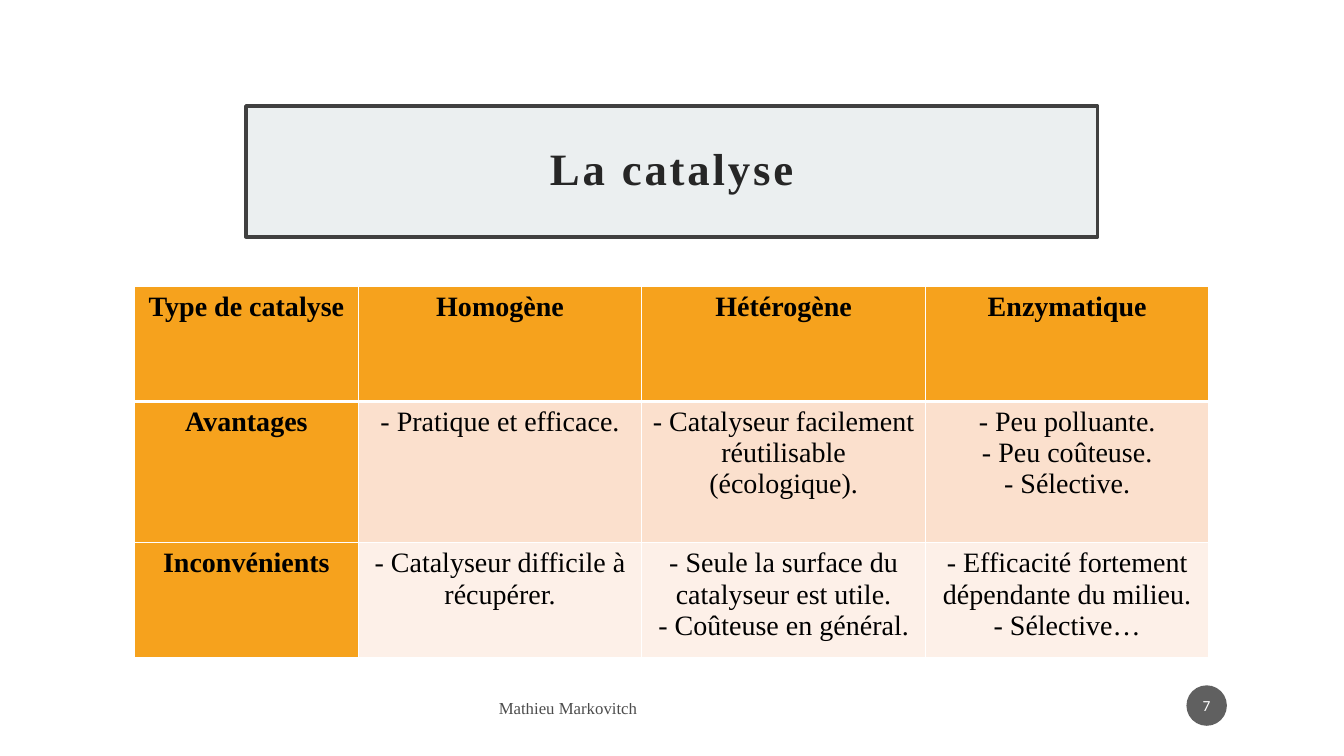
from lxml import etree
from pptx import Presentation
from pptx import util as u
from pptx.dml import color
from pptx.enum import shapes, text
from pptx.oxml import ns

SERIF = "Times New Roman"
ORANGE = "F6A21D"
BODY_FILLS = ["FBE0CD", "FDF0E8"]
HEADERS = ["Type de catalyse", "Homogène", "Hétérogène", "Enzymatique"]
ROWS = [
    ["Avantages", "- Pratique et efficace.",
     "- Catalyseur facilement réutilisable (écologique).",
     "- Peu polluante.\n- Peu coûteuse.\n- Sélective."],
    ["Inconvénients", "- Catalyseur difficile à récupérer.",
     "- Seule la surface du catalyseur est utile.\n- Coûteuse en général.",
     "- Efficacité fortement dépendante du milieu.\n- Sélective…"],
]


def paint(fill, hex_code, opacity=100):
    """Apply a solid colour with an opacity in percent."""
    fill.solid()
    fill.fore_color.rgb = color.RGBColor.from_string(hex_code)
    if opacity < 100:
        tint = fill._xPr.find(".//" + ns.qn("a:srgbClr"))
        etree.SubElement(tint, ns.qn("a:alpha"), val=str(opacity * 1000))


def write(frame, content, size, ink, font=SERIF, bold=False, opacity=100,
          align=text.PP_ALIGN.CENTER):
    """Write each line of the content as a paragraph of one run."""
    frame.word_wrap = True
    for index, line in enumerate(content.split("\n")):
        para = frame.add_paragraph() if index else frame.paragraphs[0]
        para.alignment = align
        span = para.add_run()
        span.text = line
        span.font.name = font
        span.font.size = u.Pt(size)
        span.font.bold = bold
        paint(span.font.fill, ink, opacity)


def set_margins(frame, side, end):
    """Set the side and top or bottom margins of a text frame."""
    frame.margin_left = frame.margin_right = u.Cm(side)
    frame.margin_top = frame.margin_bottom = u.Cm(end)
    frame.vertical_anchor = text.MSO_ANCHOR.MIDDLE


def add_title(page, left, top, width, height):
    """Draw the framed slide title."""
    box = page.shapes.add_shape(shapes.MSO_SHAPE.RECTANGLE, u.Cm(left),
                                u.Cm(top), u.Cm(width), u.Cm(height))
    box.shadow.inherit = False
    paint(box.fill, "EBEFF0")
    paint(box.line.fill, "404040")
    box.line.width = u.Pt(2.5)
    set_margins(box.text_frame, 0.5, 0.5)
    write(box.text_frame, "La catalyse", 32, "262626", bold=True)
    para = box.text_frame.paragraphs[0]
    para.line_spacing = 0.9
    para.runs[0]._r.get_or_add_rPr().set("spc", "200")


def add_border(cell, side, points):
    """Draw a white line on one side of a table cell."""
    line = etree.SubElement(cell._tc.get_or_add_tcPr(), ns.qn("a:ln" + side),
                            w=str(u.Pt(points)))
    fill = etree.SubElement(line, ns.qn("a:solidFill"))
    etree.SubElement(fill, ns.qn("a:srgbClr"), val="FFFFFF")


def add_comparison(page, left, top, width, height):
    """Draw the table comparing the three types of catalysis."""
    label_width, header_height, middle_height = 5.64, 2.9, 3.56
    table = page.shapes.add_table(3, 4, u.Cm(left), u.Cm(top),
                                  u.Cm(width), u.Cm(height)).table
    table.horz_banding = False
    for index, column in enumerate(table.columns):
        column.width = u.Cm((width - label_width) / 3 if index else label_width)
    heights = [header_height, middle_height,
               height - header_height - middle_height]
    for row, size in zip(table.rows, heights):
        row.height = u.Cm(size)
    for row, entries in enumerate([HEADERS] + ROWS):
        for column, content in enumerate(entries):
            cell = table.cell(row, column)
            heading = row == 0 or column == 0
            add_border(cell, "L", 1)
            add_border(cell, "R", 1)
            add_border(cell, "T", 3 if row == 1 else 1)
            add_border(cell, "B", 3 if row == 0 else 1)
            paint(cell.fill, ORANGE if heading else BODY_FILLS[row - 1])
            write(cell.text_frame, content, 20, "000000", bold=heading)


def add_author(page, left, top, width, height):
    """Write the author's name in the footer."""
    box = page.shapes.add_textbox(u.Cm(left), u.Cm(top), u.Cm(width),
                                  u.Cm(height))
    set_margins(box.text_frame, 0.25, 0.13)
    write(box.text_frame, "Mathieu Markovitch", 12, "000000", opacity=70,
          align=text.PP_ALIGN.LEFT)


def add_page_number(page, left, top, size):
    """Draw the page number in its disc."""
    disc = page.shapes.add_shape(shapes.MSO_SHAPE.OVAL, u.Cm(left), u.Cm(top),
                                 u.Cm(size), u.Cm(size))
    disc.shadow.inherit = False
    paint(disc.fill, "1D1D1D", 70)
    disc.line.fill.background()
    set_margins(disc.text_frame, 0.05, 0.13)
    write(disc.text_frame, "7", 11, "FFFFFF", font="Calibri")


def main():
    """Build and save the deck."""
    deck = Presentation()
    deck.slide_width, deck.slide_height = u.Cm(33.87), u.Cm(19.05)
    page = deck.slides.add_slide(deck.slide_layouts[6])
    add_title(page, 6.2, 2.67, 21.46, 3.3)
    add_author(page, 12.32, 17.4, 4.37, 0.89)
    add_page_number(page, 29.9, 17.27, 1.02)
    add_comparison(page, 3.39, 7.22, 27.08, 9.36)
    deck.save("out.pptx")


if __name__ == "__main__":
    main()
